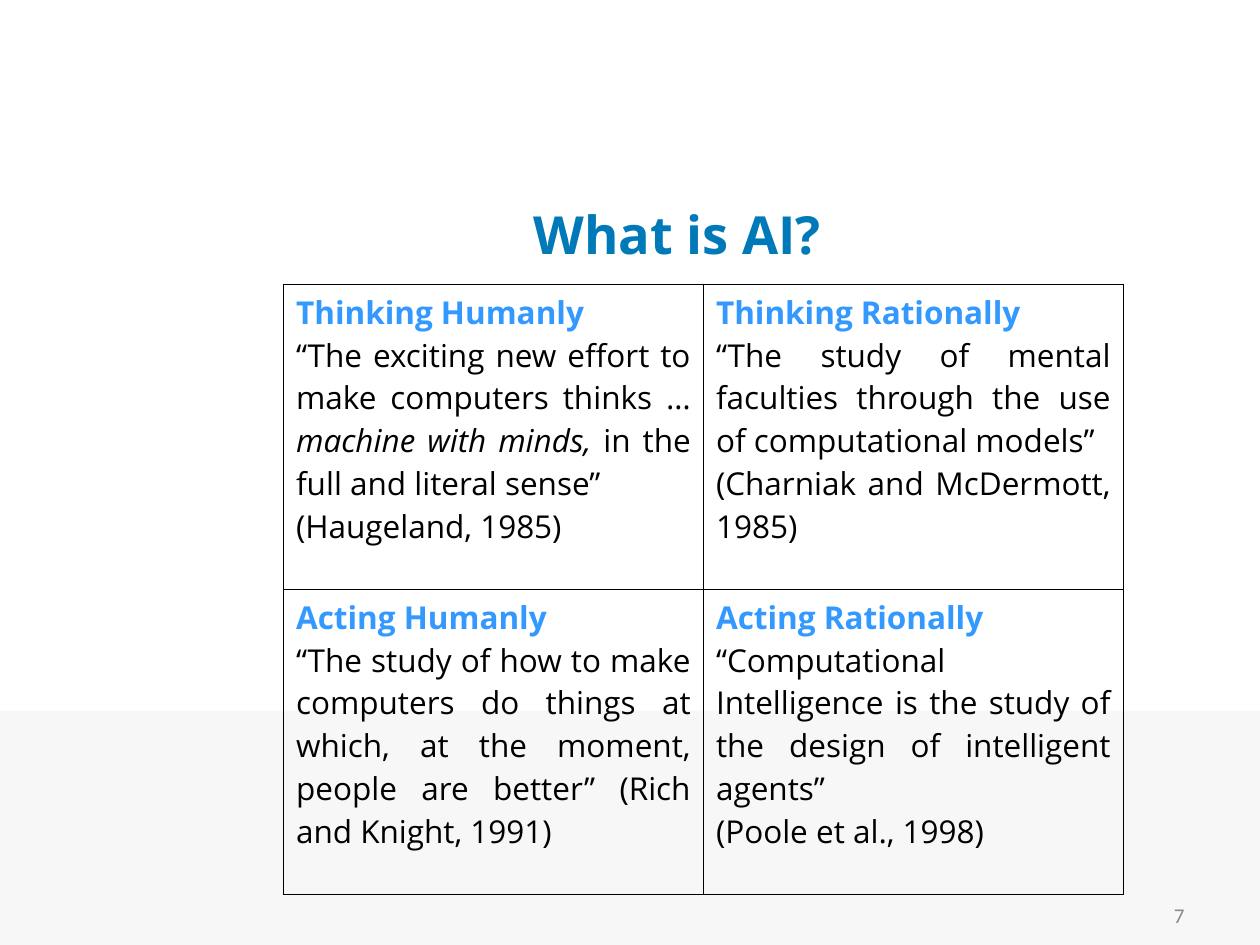
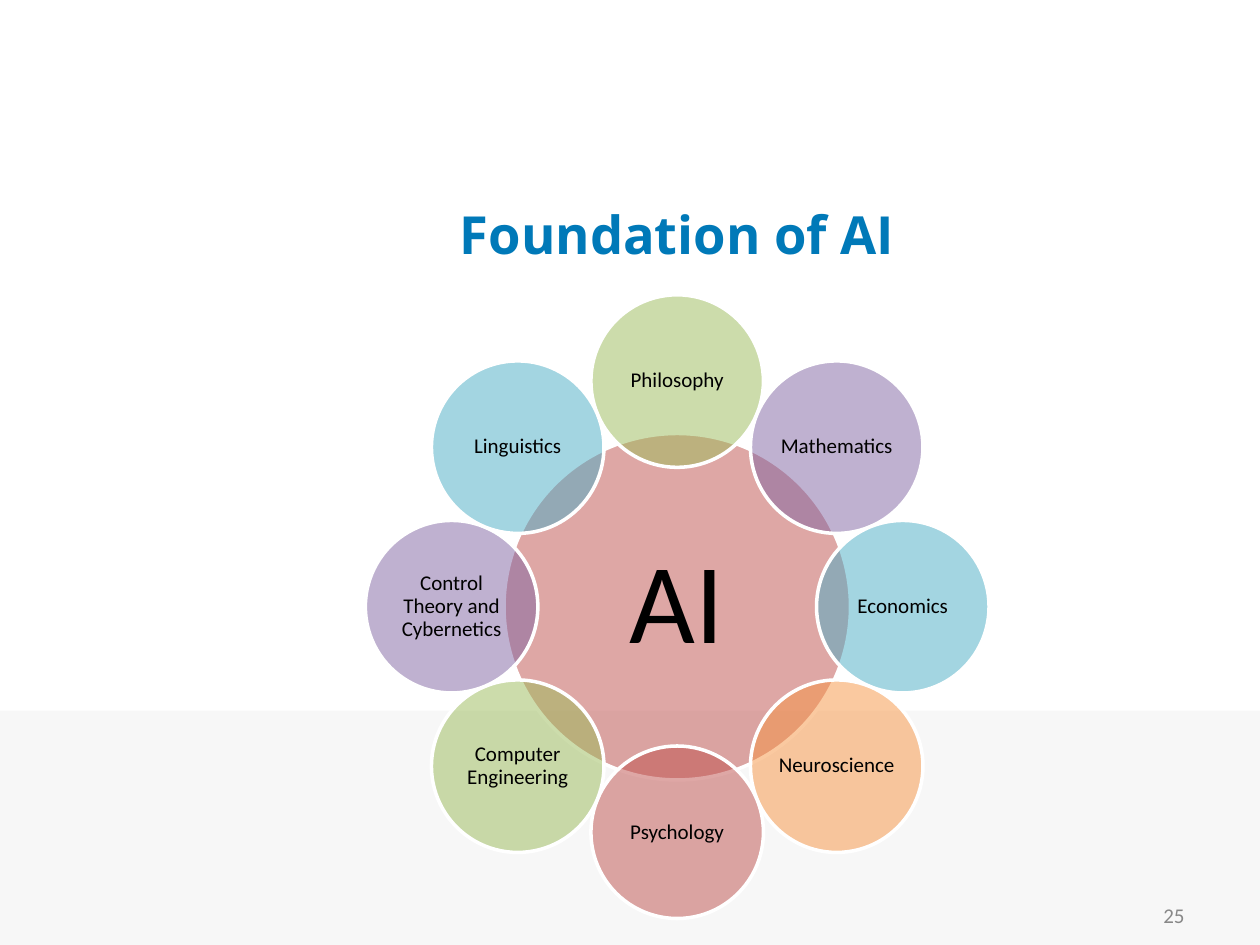
from math import cos, radians, sin

from lxml.etree import SubElement
from pptx import Presentation
from pptx.dml.color import RGBColor
from pptx.enum.shapes import MSO_SHAPE as Shape
from pptx.enum.text import MSO_ANCHOR as Anchor, PP_ALIGN as Align
from pptx.oxml.ns import qn
from pptx.util import Pt

WHITE = RGBColor(0xFF, 0xFF, 0xFF)
BLACK = RGBColor(0, 0, 0)
BAND_GREY = RGBColor(0xF7, 0xF7, 0xF7)
PAGE_GREY = RGBColor(0x88, 0x88, 0x88)
TITLE_BLUE = RGBColor(0x00, 0x79, 0xB8)
HEADING_BLUE = RGBColor(0x33, 0x99, 0xFF)
RED = RGBColor(0xBF, 0x50, 0x4D)
GREEN = RGBColor(0x9B, 0xBB, 0x59)
PURPLE = RGBColor(0x80, 0x64, 0xA2)
TEAL = RGBColor(0x49, 0xAC, 0xC5)
ORANGE = RGBColor(0xF7, 0x95, 0x43)

HEADING_FONT = "Open Sans"
BODY_FONT = "Calibri"

DEFINITIONS = [
    [
        ("Thinking Humanly", [
            [("“The exciting new effort to make computers thinks … ", False),
             ("machine with minds,", True),
             (" in the full and literal sense” ", False)],
            [("(Haugeland, 1985)", False)],
        ]),
        ("Thinking Rationally", [
            [("“The study of mental faculties through the use of computational models” ", False)],
            [("(Charniak and McDermott, 1985)", False)],
        ]),
    ],
    [
        ("Acting Humanly", [
            [("“The study of how to make computers do things at which, at the moment, "
              "people are better” (Rich and Knight, 1991)", False)],
        ]),
        ("Acting Rationally", [
            [("“Computational Intelligence is the study of the design of intelligent agents” ", False)],
            [("(Poole et al., 1998)", False)],
        ]),
    ],
]

DISCIPLINES = [
    ("Philosophy", GREEN),
    ("Mathematics", PURPLE),
    ("Economics", TEAL),
    ("Neuroscience", ORANGE),
    ("Psychology", RED),
    ("Computer Engineering", GREEN),
    ("Control Theory and Cybernetics", PURPLE),
    ("Linguistics", TEAL),
]

SLIDE_WIDTH, SLIDE_HEIGHT = 720, 540
BAND_TOP = 406.08
TITLE_BOX = (90, 108, 594, 50.4)
PAGE_BOX = (516.24, 508.32, 167.76, 28.8)
TABLE_LEFT, TABLE_TOP = 162, 162.5
COLUMN_WIDTH, ROW_HEIGHT = 240, 174.25
WHEEL_X, WHEEL_Y, WHEEL_RADIUS = 387, 346.7, 128.9
HUB_SIZE, PETAL_SIZE = 198, 98.6


def add_span(para, text, size, font, color, bold=False, italic=False):
    span = para.add_run()
    span.text = text
    span.font.size = Pt(size)
    span.font.name = font
    span.font.color.rgb = color
    span.font.bold = bold
    span.font.italic = italic


def set_insets(frame, side, end):
    frame.margin_left = frame.margin_right = Pt(side)
    frame.margin_top = frame.margin_bottom = Pt(end)


def add_line_of_text(slide, place, text, align, *style):
    frame = slide.shapes.add_textbox(*map(Pt, place)).text_frame
    frame.word_wrap = True
    frame.vertical_anchor = Anchor.MIDDLE
    set_insets(frame, 7.2, 3.6)
    para = frame.paragraphs[0]
    para.alignment = align
    add_span(para, text, *style)


def add_slide(deck, title, page_number):
    slide = deck.slides.add_slide(deck.slide_layouts[6])
    band = slide.shapes.add_shape(
        Shape.RECTANGLE, 0, Pt(BAND_TOP), Pt(SLIDE_WIDTH), Pt(SLIDE_HEIGHT - BAND_TOP))
    band.shadow.inherit = False
    band.fill.solid()
    band.fill.fore_color.rgb = BAND_GREY
    band.line.fill.background()
    add_line_of_text(slide, TITLE_BOX, title, Align.CENTER, 30, HEADING_FONT, TITLE_BLUE, True)
    add_line_of_text(slide, PAGE_BOX, page_number, Align.RIGHT, 12, BODY_FONT, PAGE_GREY)
    return slide


def add_borders(cell):
    properties = cell._tc.get_or_add_tcPr()
    for index, side in enumerate(("a:lnL", "a:lnR", "a:lnT", "a:lnB")):
        border = properties.makeelement(qn(side), {"w": str(Pt(1))})
        fill = SubElement(border, qn("a:solidFill"))
        SubElement(fill, qn("a:srgbClr"), val=str(BLACK))
        properties.insert(index, border)


def fill_cell(cell, heading, quotes):
    cell.fill.background()
    add_borders(cell)
    set_insets(cell, 7.2, 3.6)
    frame = cell.text_frame
    para = frame.paragraphs[0]
    para.alignment = Align.JUSTIFY
    add_span(para, heading, 18, HEADING_FONT, HEADING_BLUE, bold=True)
    for spans in quotes:
        para = frame.add_paragraph()
        para.alignment = Align.JUSTIFY
        for text, italic in spans:
            add_span(para, text, 18, HEADING_FONT, BLACK, italic=italic)


def add_definitions(slide):
    rows, columns = len(DEFINITIONS), len(DEFINITIONS[0])
    table = slide.shapes.add_table(
        rows, columns, Pt(TABLE_LEFT), Pt(TABLE_TOP),
        Pt(columns * COLUMN_WIDTH), Pt(rows * ROW_HEIGHT)).table
    table.first_row = table.horz_banding = False
    for row, definitions in enumerate(DEFINITIONS):
        for column, (heading, quotes) in enumerate(definitions):
            fill_cell(table.cell(row, column), heading, quotes)


def add_circle(slide, x, y, diameter, color, text, size, inset):
    circle = slide.shapes.add_shape(
        Shape.OVAL, Pt(x - diameter / 2), Pt(y - diameter / 2), Pt(diameter), Pt(diameter))
    circle.shadow.inherit = False
    circle.fill.solid()
    circle.fill.fore_color.rgb = color
    tint = circle.fill._xPr.find(qn("a:solidFill"))[0]
    SubElement(tint, qn("a:alpha"), val="50000")
    circle.line.color.rgb = WHITE
    circle.line.width = Pt(2)
    frame = circle.text_frame
    frame.word_wrap = True
    frame.vertical_anchor = Anchor.MIDDLE
    set_insets(frame, inset, inset)
    para = frame.paragraphs[0]
    para.alignment = Align.CENTER
    para.line_spacing = 0.9
    add_span(para, text, size, BODY_FONT, BLACK)


def add_wheel(slide):
    add_circle(slide, WHEEL_X, WHEEL_Y, HUB_SIZE, RED, "AI", 65, 6.5)
    for index, (name, color) in enumerate(DISCIPLINES):
        angle = radians(index * 360 / len(DISCIPLINES))
        x = WHEEL_X + WHEEL_RADIUS * sin(angle)
        y = WHEEL_Y - WHEEL_RADIUS * cos(angle)
        add_circle(slide, x, y, PETAL_SIZE, color, name, 12, 1.2)


def main():
    deck = Presentation()
    deck.slide_width, deck.slide_height = Pt(SLIDE_WIDTH), Pt(SLIDE_HEIGHT)
    add_definitions(add_slide(deck, "What is AI?", "7"))
    add_wheel(add_slide(deck, "Foundation of AI", "25"))
    deck.save("out.pptx")


if __name__ == "__main__":
    main()
